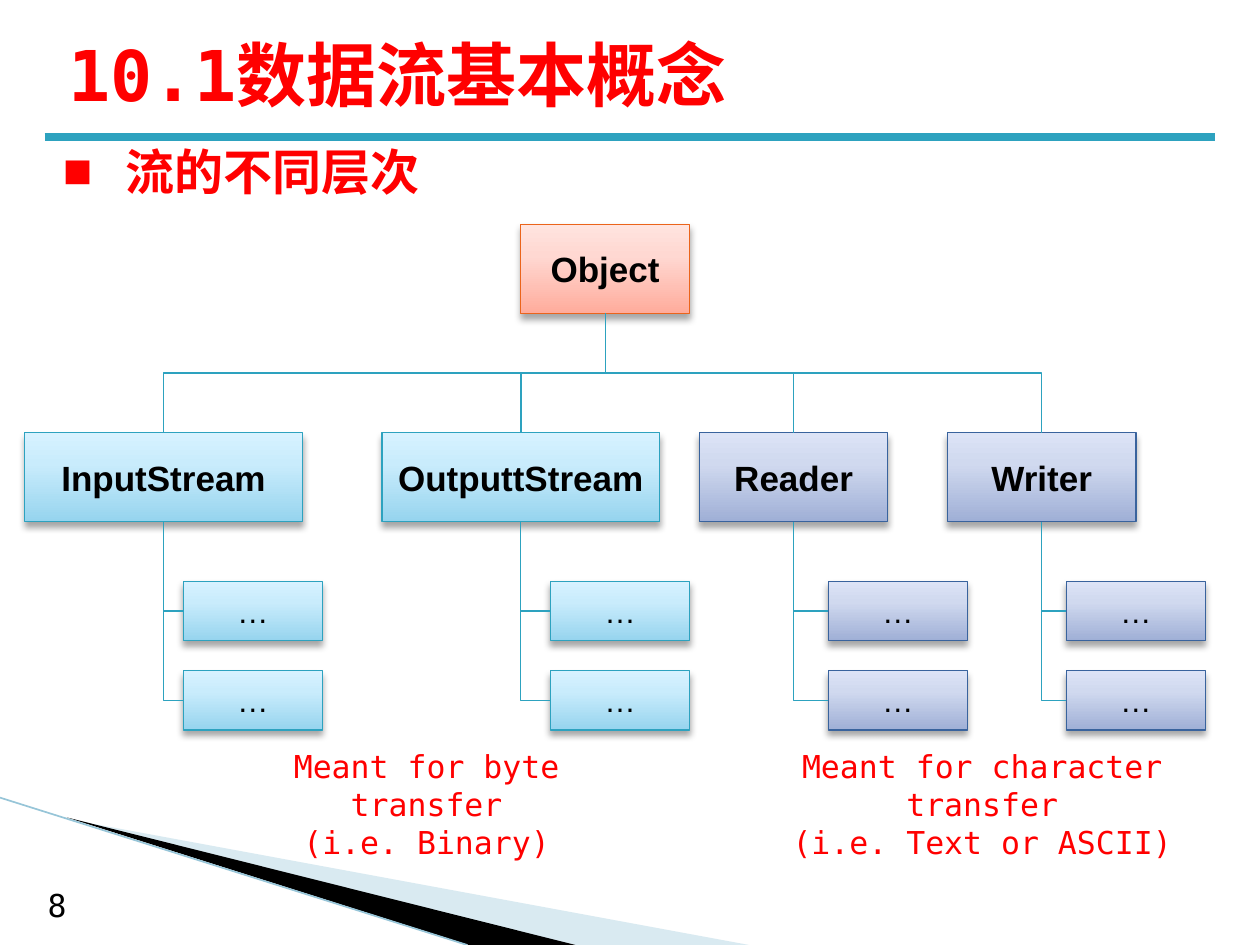
from dataclasses import dataclass
from typing import NamedTuple

from lxml.etree import SubElement
from pptx import Presentation
from pptx.dml.color import RGBColor
from pptx.enum.shapes import MSO_CONNECTOR, MSO_SHAPE
from pptx.enum.text import MSO_ANCHOR, MSO_AUTO_SIZE, PP_ALIGN
from pptx.oxml import parse_xml
from pptx.oxml.ns import nsdecls, qn
from pptx.util import Cm, Pt


class Palette(NamedTuple):
    line: str
    stops: tuple[str, str, str]


@dataclass(frozen=True)
class Theme:
    red: str = "FF0000"
    black: str = "000000"
    teal: str = "2DA2BF"
    pale: str = "A0CBDC"
    edge: str = "97C5D8"
    root: Palette = Palette("EB641B", ("FFAC9C", "FFD8D2", "FFE4DF"))
    byte: Palette = Palette("2DA2BF", ("96D4EE", "C9ECFC", "D7F2FF"))
    char: Palette = Palette("39639D", ("9FAFD6", "D0D9EF", "DCE3F6"))
    sans: str = "Arial"
    mono: str = "DejaVu Sans Mono"
    title: int = 40
    heading: int = 28
    node: int = 20
    body: int = 18
    thin: float = 0.75


class Point(NamedTuple):
    x: float
    y: float


class Frame(NamedTuple):
    left: float
    top: float
    width: float
    height: float

    @property
    def lengths(self) -> tuple:
        return tuple(Cm(value) for value in self)

    @property
    def top_center(self) -> Point:
        return Point(self.left + self.width / 2, self.top)

    @property
    def bottom_center(self) -> Point:
        return Point(self.left + self.width / 2, self.top + self.height)

    @property
    def left_center(self) -> Point:
        return Point(self.left, self.top + self.height / 2)


class Branch(NamedTuple):
    label: str
    left: float
    width: float
    child_left: float
    palette: Palette


class Caption(NamedTuple):
    frame: Frame
    lines: tuple[str, ...]


THEME = Theme()
NODE_HEIGHT, CHILD_WIDTH, CHILD_HEIGHT = 1.8, 2.8, 1.2
ROOT_TOP, BRANCH_TOP, CHILD_TOP, CHILD_PITCH = 4.52, 8.72, 11.72, 1.8
BRANCHES = (
    Branch("InputStream", 0.5, 5.6, 3.7, THEME.byte),
    Branch("OutputtStream", 7.7, 5.6, 11.1, THEME.byte),
    Branch("Reader", 14.1, 3.8, 16.7, THEME.char),
    Branch("Writer", 19.1, 3.8, 21.5, THEME.char),
)
CAPTIONS = (
    Caption(Frame(4.1, 14.94, 9, 1.8), ("Meant for byte transfer", "(i.e. Binary)")),
    Caption(Frame(14.9, 14.94, 9.8, 1.8), ("Meant for character transfer", "(i.e. Text or ASCII)")),
)


def add_span(para, text: str, size: int, font: str, color: str, bold: bool = False) -> None:
    span = para.add_run()
    span.text = text
    span.font.size = Pt(size)
    span.font.name = font
    span.font.bold = bold
    span.font.color.rgb = RGBColor.from_string(color)


def add_text_box(page, frame: Frame):
    box = page.shapes.add_textbox(*frame.lengths)
    box.text_frame.word_wrap = True
    box.text_frame.auto_size = MSO_AUTO_SIZE.SHAPE_TO_FIT_TEXT
    return box.text_frame


def add_node(page, frame: Frame, text: str, palette: Palette, size: int, bold: bool) -> None:
    box = page.shapes.add_shape(MSO_SHAPE.RECTANGLE, *frame.lengths)
    box.line.color.rgb = RGBColor.from_string(palette.line)
    box.line.width = Pt(THEME.thin)
    stops = "".join(
        f'<a:gs pos="{position}"><a:srgbClr val="{color}"/></a:gs>'
        for position, color in zip((0, 65000, 100000), palette.stops)
    )
    properties = box._element.spPr
    properties.insert(2, parse_xml(
        f'<a:gradFill {nsdecls("a")} rotWithShape="1"><a:gsLst>{stops}</a:gsLst>'
        '<a:lin ang="16200000" scaled="0"/></a:gradFill>'
    ))
    box.shadow.inherit = False
    properties.find(qn("a:effectLst")).append(parse_xml(
        f'<a:outerShdw {nsdecls("a")} blurRad="{Pt(4)}" dist="{Pt(3)}" dir="5400000" rotWithShape="0">'
        f'<a:srgbClr val="{THEME.black}"><a:alpha val="35000"/></a:srgbClr></a:outerShdw>'
    ))
    box.text_frame.vertical_anchor = MSO_ANCHOR.MIDDLE
    para = box.text_frame.paragraphs[0]
    para.alignment = PP_ALIGN.CENTER
    add_span(para, text, size, THEME.sans, THEME.black, bold)


def add_line(page, kind, start: Point, end: Point, color: str, width: float):
    line = page.shapes.add_connector(kind, *(Cm(value) for value in (*start, *end)))
    line.line.color.rgb = RGBColor.from_string(color)
    line.line.width = Pt(width)
    SubElement(line._element.spPr, qn("a:effectLst"))
    return line


def add_bend(page, start: Point, end: Point, preset: str) -> None:
    center = Point((start.x + end.x) / 2, (start.y + end.y) / 2)
    half_width, half_height = (end.y - start.y) / 2, abs(end.x - start.x) / 2
    goes_left = end.x < start.x
    side = 1 if goes_left else -1
    line = add_line(
        page, MSO_CONNECTOR.ELBOW,
        Point(center.x - side * half_width, center.y - half_height),
        Point(center.x + side * half_width, center.y + half_height),
        THEME.teal, THEME.thin,
    )
    properties = line._element.spPr
    properties.find(qn("a:xfrm")).set("rot", str((90 if goes_left else 270) * 60000))
    properties.find(qn("a:prstGeom")).set("prst", preset)


def add_wedge(page, points: tuple[Point, ...], color: str, alpha: int = 100) -> None:
    first, *rest = [(Cm(point.x), Cm(point.y)) for point in points]
    builder = page.shapes.build_freeform(*first)
    builder.add_line_segments(rest, close=True)
    wedge = builder.convert_to_shape()
    wedge.shadow.inherit = False
    wedge.fill.solid()
    wedge.fill.fore_color.rgb = RGBColor.from_string(color)
    wedge.line.fill.background()
    if alpha < 100:
        tint = wedge._element.spPr.find(qn("a:solidFill")).find(qn("a:srgbClr"))
        SubElement(tint, qn("a:alpha")).set("val", str(alpha * 1000))


def add_decoration(page) -> None:
    add_wedge(page, (Point(1.4, 16.52), Point(15.1, 19.05), Point(11.58, 19.05)), THEME.pale, 40)
    add_wedge(page, (Point(1.35, 16.48), Point(11.6, 19.05), Point(9.45, 19.05)), THEME.black)
    add_line(page, MSO_CONNECTOR.STRAIGHT, Point(0, 16.08), Point(9.42, 19.05), THEME.edge, 0.95)
    add_line(page, MSO_CONNECTOR.STRAIGHT, Point(0.9, 2.77), Point(24.5, 2.77), THEME.teal, 4.5)
    number = add_text_box(page, Frame(0.71, 17.73, 1.4, 1.02))
    add_span(number.paragraphs[0], "8", THEME.body, THEME.mono, THEME.black)


def add_title(page) -> None:
    title = page.shapes.title
    title.left, title.top, title.width, title.height = Frame(1.12, 0.41, 22.86, 2.16).lengths
    title.text_frame.vertical_anchor = MSO_ANCHOR.MIDDLE
    para = title.text_frame.paragraphs[0]
    para.alignment = PP_ALIGN.LEFT
    add_span(para, "10.1数据流基本概念", THEME.title, THEME.mono, THEME.red, True)


def add_hierarchy(page) -> None:
    root = Frame(10.5, ROOT_TOP, 3.4, NODE_HEIGHT)
    add_node(page, root, "Object", THEME.root, THEME.node, True)
    for branch in BRANCHES:
        parent = Frame(branch.left, BRANCH_TOP, branch.width, NODE_HEIGHT)
        add_node(page, parent, branch.label, branch.palette, THEME.node, True)
        add_bend(page, root.bottom_center, parent.top_center, "bentConnector3")
        for row in range(2):
            child = Frame(branch.child_left, CHILD_TOP + row * CHILD_PITCH, CHILD_WIDTH, CHILD_HEIGHT)
            add_node(page, child, "…", branch.palette, THEME.body, False)
            add_bend(page, parent.bottom_center, child.left_center, "bentConnector2")


def add_heading(page) -> None:
    para = add_text_box(page, Frame(1.02, 2.72, 23.6, 1.45)).paragraphs[0]
    properties = para._p.get_or_add_pPr()
    properties.set("marL", str(Cm(1.27)))
    properties.set("indent", str(-Cm(1.27)))
    SubElement(properties, qn("a:buFont")).set("typeface", THEME.sans)
    SubElement(properties, qn("a:buChar")).set("char", "■")
    add_span(para, "流的不同层次", THEME.heading, THEME.sans, THEME.red, True)


def add_caption(page, caption: Caption) -> None:
    text = add_text_box(page, caption.frame)
    for index, line in enumerate(caption.lines):
        para = text.add_paragraph() if index else text.paragraphs[0]
        para.alignment = PP_ALIGN.CENTER
        add_span(para, line, THEME.body, THEME.mono, THEME.red)


def main() -> None:
    deck = Presentation()
    deck.slide_width, deck.slide_height = Cm(25.4), Cm(19.05)
    page = deck.slides.add_slide(deck.slide_layouts.get_by_name("Title Only"))
    add_decoration(page)
    add_title(page)
    add_hierarchy(page)
    add_heading(page)
    for caption in CAPTIONS:
        add_caption(page, caption)
    deck.save("out.pptx")


if __name__ == "__main__":
    main()
